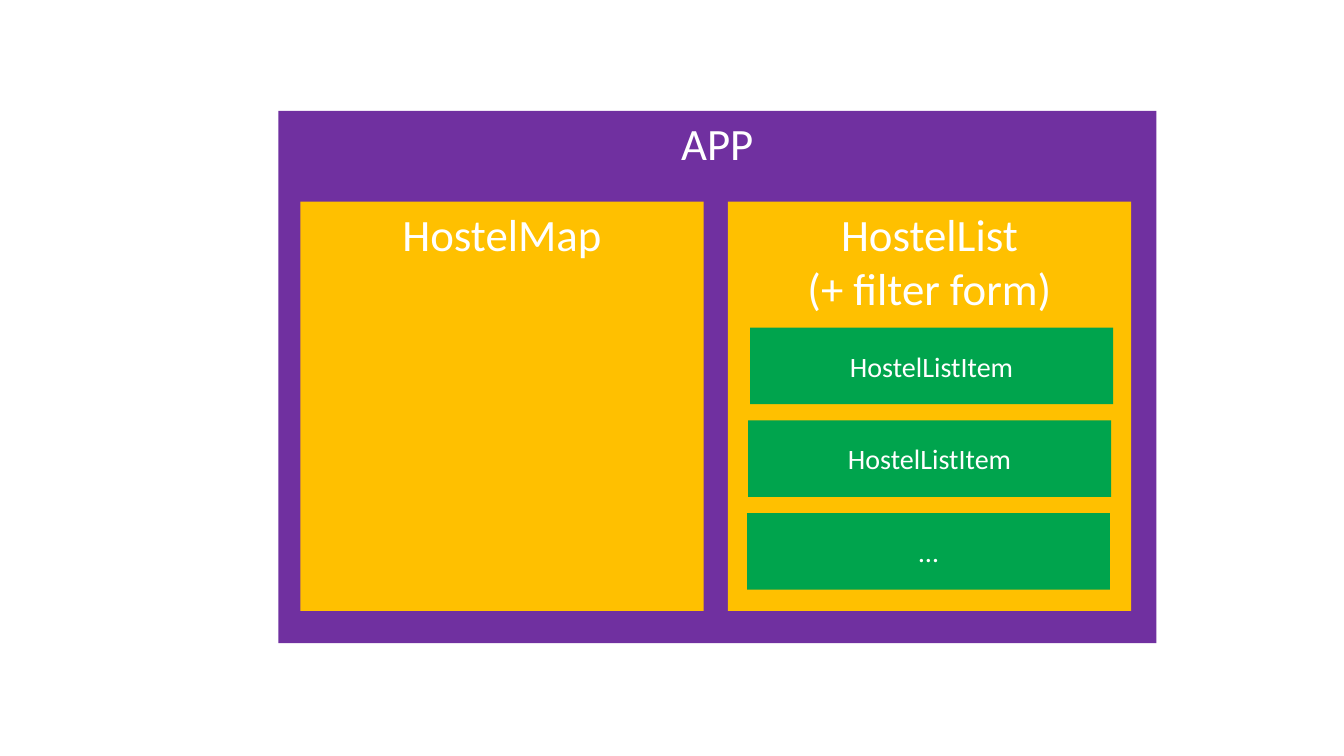
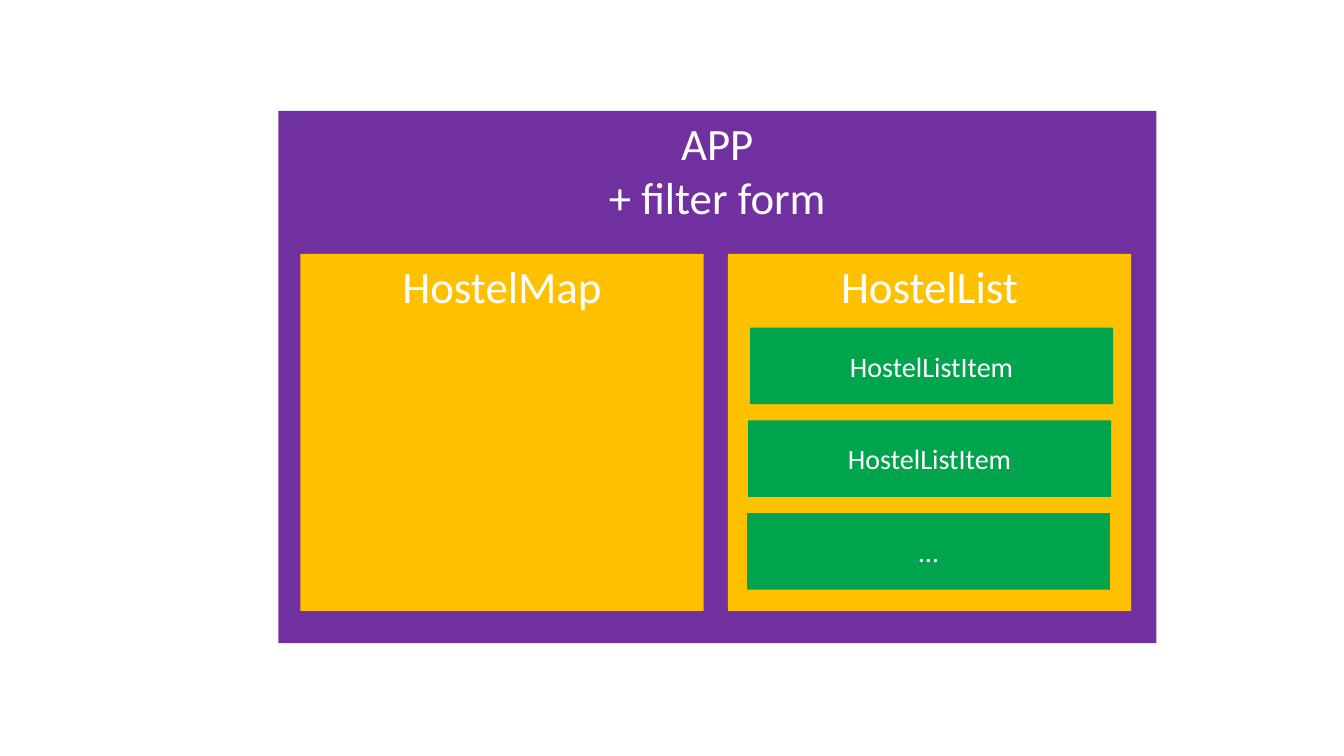
from pptx import Presentation
from pptx.dml.color import RGBColor
from pptx.enum.shapes import MSO_SHAPE
from pptx.enum.text import MSO_ANCHOR, PP_ALIGN
from pptx.util import Emu, Pt

RECT = MSO_SHAPE.RECTANGLE
TOP, MIDDLE = MSO_ANCHOR.TOP, MSO_ANCHOR.MIDDLE
CENTER = PP_ALIGN.CENTER

SLIDES = [
    {"app": "APP", "map": "HostelMap", "list": "HostelList\n(+ filter form)", "panel_top": 200},
    {"app": "APP\n+ filter form", "map": "HostelMap", "list": "HostelList", "panel_top": 252},
]
ITEMS = [("HostelListItem", 744), ("HostelListItem", 742), ("…", 741)]

EMU_PER_PX = 9144
SLIDE_W, SLIDE_H = 1333, 750
APP_BOX = (276, 110, 871, 528)
MAP_LEFT, LIST_LEFT, PANEL_W, PANEL_BOTTOM = 298, 722, 400, 606
ITEM_TOP, ITEM_W, ITEM_H, ITEM_GAP = 325, 360, 76, 16

STYLES = {
    "app": {"fill": "7030A0", "size": 32, "anchor": TOP},
    "panel": {"fill": "FFC000", "size": 32, "anchor": TOP},
    "item": {"fill": "00A44D", "size": 20, "anchor": MIDDLE},
}


def px(n):
    return Emu(round(n * EMU_PER_PX))


def rgb(value):
    return RGBColor.from_string(value)


def add_box(s, text, box, kind):
    style = STYLES[kind]
    sp = s.shapes.add_shape(RECT, *map(px, box))
    sp.shadow.inherit = False
    sp.fill.solid()
    sp.fill.fore_color.rgb = rgb(style["fill"])
    sp.line.fill.background()
    tf = sp.text_frame
    tf.word_wrap = True
    tf.vertical_anchor = style["anchor"]
    p = tf.paragraphs[0]
    p.text = text
    p.alignment = CENTER
    for r in p.runs:
        for name, value in {"name": "Calibri", "size": Pt(style["size"])}.items():
            setattr(r.font, name, value)
        r.font.color.rgb = rgb("FFFFFF")


def add_component_slide(prs, content):
    s = prs.slides.add_slide(prs.slide_layouts[6])
    top = content["panel_top"]
    add_box(s, content["app"], APP_BOX, "app")
    for key, left in (("map", MAP_LEFT), ("list", LIST_LEFT)):
        add_box(s, content[key], (left, top, PANEL_W, PANEL_BOTTOM - top), "panel")
    for i, (text, left) in enumerate(ITEMS):
        y = ITEM_TOP + i * (ITEM_H + ITEM_GAP)
        add_box(s, text, (left, y, ITEM_W, ITEM_H), "item")


def main():
    """Build the component diagrams and save the deck."""
    prs = Presentation()
    prs.slide_width, prs.slide_height = px(SLIDE_W), px(SLIDE_H)
    for content in SLIDES:
        add_component_slide(prs, content)
    prs.save("out.pptx")


if __name__ == "__main__":
    main()
